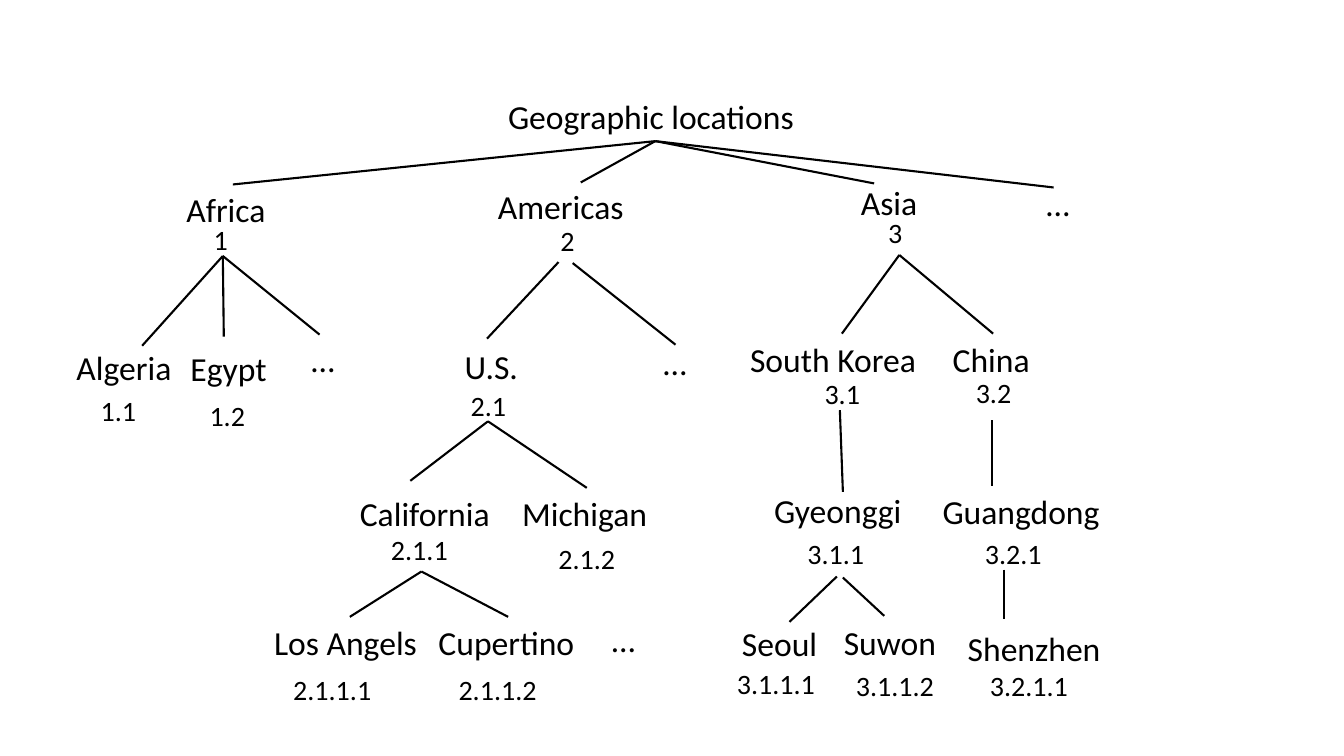
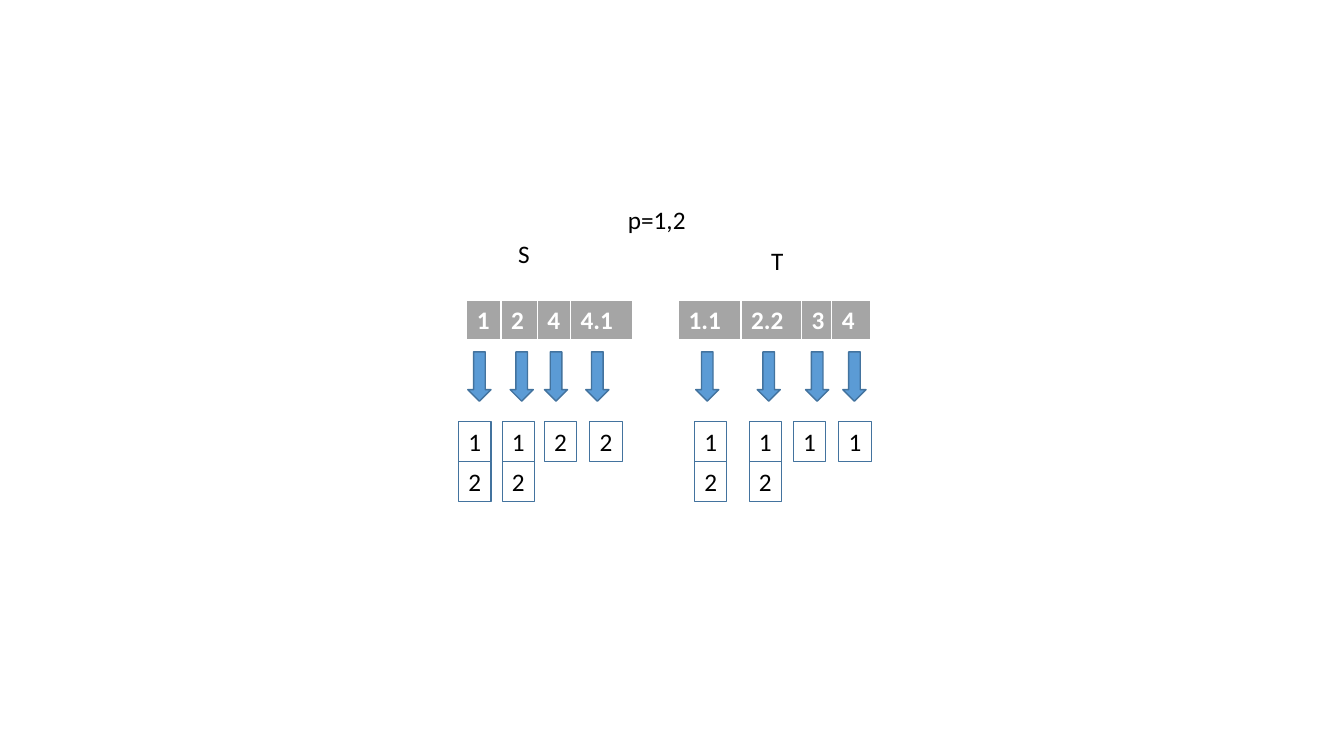
from lxml import etree
from pptx import Presentation
from pptx.dml.color import RGBColor
from pptx.enum import shapes, text
from pptx.oxml import ns
from pptx.util import Inches, Pt

FONT = "Calibri"
BLACK = RGBColor(0x00, 0x00, 0x00)
WHITE = RGBColor(0xFF, 0xFF, 0xFF)
GRAY = RGBColor(0xA5, 0xA5, 0xA5)
BLUE = RGBColor(0x5B, 0x9B, 0xD5)
DARK_BLUE = RGBColor(0x43, 0x73, 0x9E)

NAME_SIZE, CODE_SIZE, ARRAY_SIZE = 24, 20, 18
LABEL_HEIGHTS = {NAME_SIZE: 0.5, CODE_SIZE: 0.44, ARRAY_SIZE: 0.4}

# Text, left, top, width; places in the tree are relative to its box.
PLACES = [
    ("Geographic locations", 4.44, 0.4, 3.12),
    ("Africa", 1.25, 1.33, 1.16),
    ("Americas", 4.34, 1.3, 1.54),
    ("Asia", 7.94, 1.26, 0.87),
    ("…", 9.78, 1.27, 0.46),
    ("Algeria", 0.16, 2.89, 2.01),
    ("Egypt", 1.29, 2.9, 0.98),
    ("…", 2.49, 2.81, 0.54),
    ("U.S.", 4.01, 2.88, 0.77),
    ("…", 5.98, 2.84, 0.58),
    ("South Korea", 6.84, 2.81, 2.01),
    ("China", 8.85, 2.81, 1),
    ("California", 2.97, 4.34, 1.58),
    ("Michigan", 4.58, 4.34, 1.49),
    ("Gyeonggi", 7.08, 4.31, 2.01),
    ("Guangdong", 8.75, 4.32, 2.01),
    ("Los Angels", 2.12, 5.62, 1.71),
    ("Cupertino", 3.75, 5.62, 1.58),
    ("…", 5.47, 5.59, 0.52),
    ("Seoul", 6.76, 5.63, 0.98),
    ("Suwon", 7.77, 5.62, 1.22),
    ("Shenzhen", 9, 5.68, 1.57),
]
CODES = [
    ("1", 1.52, 1.66, 0.8),
    ("2", 4.96, 1.67, 0.44),
    ("3", 8.21, 1.59, 0.42),
    ("1.1", 0.4, 3.35, 0.6),
    ("1.2", 1.48, 3.4, 0.6),
    ("2.1", 4.07, 3.31, 0.8),
    ("3.1", 7.58, 3.19, 0.73),
    ("3.2", 9.08, 3.18, 0.76),
    ("2.1.1", 3.28, 4.73, 0.8),
    ("2.1.2", 4.94, 4.82, 0.8),
    ("3.1.1", 7.41, 4.77, 0.8),
    ("3.2.1", 9.17, 4.77, 0.8),
    ("2.1.1.1", 2.31, 6.12, 1),
    ("2.1.1.2", 3.95, 6.12, 1),
    ("3.1.1.1", 6.71, 6.06, 1),
    ("3.1.1.2", 7.89, 6.08, 1),
    ("3.2.1.1", 9.22, 6.08, 1),
]
# Start of each branch and the ends it fans out to.
BRANCHES = [
    ((6, 0.9), [(1.81, 1.33), (5.26, 1.31), (8.17, 1.32), (9.95, 1.36)]),
    ((1.71, 2.04), [(0.91, 2.93), (1.72, 2.84), (2.67, 2.82)]),
    ((5.04, 2.1), [(4.33, 2.86)]),
    ((5.18, 2.11), [(6.2, 2.92)]),
    ((8.42, 2.03), [(7.85, 2.81), (9.35, 2.81)]),
    ((4.34, 3.68), [(3.57, 4.27), (5.32, 4.34)]),
    ((7.83, 3.57), [(7.86, 4.38)]),
    ((9.34, 3.67), [(9.34, 4.32)]),
    ((3.68, 5.17), [(2.97, 5.62), (4.54, 5.62)]),
    ((7.8, 5.22), [(7.33, 5.67)]),
    ((7.86, 5.23), [(8.27, 5.61)]),
    ((9.46, 5.15), [(9.46, 5.64)]),
]

# Per column: key, column width, arrow left, stack left, stacked values;
# lefts are relative to the table.
S_COLUMNS = [
    ("1", 0.34, 0.01, -0.08, "12"),
    ("2", 0.36, 0.43, 0.35, "12"),
    ("4", 0.33, 0.77, 0.77, "2"),
    ("4.1", 0.61, 1.18, 1.22, "2"),
]
T_COLUMNS = [
    ("1.1", 0.62, 0.17, 0.16, "12"),
    ("2.2", 0.6, 0.78, 0.7, "12"),
    ("3", 0.3, 1.26, 1.14, "1"),
    ("4", 0.39, 1.63, 1.59, "1"),
]
ROW_H = 0.4
ARROW_TOP, ARROW_W, ARROW_H = 0.51, 0.23, 0.49
STACK_TOP, BOX_W, BOX_H = 1.2, 0.32, 0.4


def style(p, size, color=BLACK, bold=False):
    font = p.font
    font.name, font.size, font.bold = FONT, Pt(size), bold
    font.color.rgb = color


def add_label(s, label, left, top, width, size):
    tb = s.shapes.add_textbox(Inches(left), Inches(top), Inches(width),
                              Inches(LABEL_HEIGHTS[size]))
    tf = tb.text_frame
    tf.word_wrap = True
    tf.text = label
    style(tf.paragraphs[0], size)


def add_line(s, x1, y1, x2, y2):
    line = s.shapes.add_connector(shapes.MSO_CONNECTOR.STRAIGHT, Inches(x1),
                                  Inches(y1), Inches(x2), Inches(y2))
    line.line.color.rgb = BLACK
    line.line.width = Pt(1.5)
    etree.SubElement(line._element.spPr, ns.qn("a:effectLst"))


def add_outlined(s, kind, left, top, width, height, line_width):
    sp = s.shapes.add_shape(kind, Inches(left), Inches(top),
                            Inches(width), Inches(height))
    sp.shadow.inherit = False
    sp.line.color.rgb = DARK_BLUE
    sp.line.width = Pt(line_width)
    return sp


def add_arrow(s, left, top):
    sp = add_outlined(s, shapes.MSO_SHAPE.DOWN_ARROW, left, top,
                      ARROW_W, ARROW_H, 1)
    sp.fill.solid()
    sp.fill.fore_color.rgb = BLUE


def add_value_box(s, value, left, top):
    sp = add_outlined(s, shapes.MSO_SHAPE.RECTANGLE, left, top,
                      BOX_W, BOX_H, 0.75)
    sp.fill.background()
    tf = sp.text_frame
    tf.word_wrap = False
    tf.text = value
    p = tf.paragraphs[0]
    p.alignment = text.PP_ALIGN.CENTER
    style(p, ARRAY_SIZE)


def set_borders(cell):
    """White cell borders, thicker along the bottom."""
    tc_pr = cell._tc.get_or_add_tcPr()
    for side, width in (("L", 1), ("R", 1), ("T", 1), ("B", 3)):
        ln = etree.SubElement(tc_pr, ns.qn(f"a:ln{side}"), w=str(Pt(width)))
        fill = etree.SubElement(ln, ns.qn("a:solidFill"))
        etree.SubElement(fill, ns.qn("a:srgbClr"), val=str(WHITE))


def add_key_table(s, columns, left, top):
    width = sum(column[1] for column in columns)
    table = s.shapes.add_table(1, len(columns), Inches(left), Inches(top),
                               Inches(width), Inches(ROW_H)).table
    table.first_row = table.horz_banding = False
    for i, (key, col_width, *_) in enumerate(columns):
        table.columns[i].width = Inches(col_width)
        cell = table.cell(0, i)
        cell.text = key
        style(cell.text_frame.paragraphs[0], ARRAY_SIZE, WHITE, True)
        set_borders(cell)
        cell.fill.solid()
        cell.fill.fore_color.rgb = GRAY


def add_array(s, columns, left, top):
    """Key table with an arrow from each key to its stack of values."""
    add_key_table(s, columns, left, top)
    for _, _, arrow_left, stack_left, values in columns:
        add_arrow(s, left + arrow_left, top + ARROW_TOP)
        for i, value in enumerate(values):
            add_value_box(s, value, left + stack_left,
                          top + STACK_TOP + i * BOX_H)


def add_tree(s, left, top):
    for (x1, y1), ends in BRANCHES:
        for x2, y2 in ends:
            add_line(s, left + x1, top + y1, left + x2, top + y2)
    for labels, size in ((PLACES, NAME_SIZE), (CODES, CODE_SIZE)):
        for label, x, y, width in labels:
            add_label(s, label, left + x, top + y, width, size)


def add_blank_slide(prs):
    return prs.slides.add_slide(prs.slide_layouts[6])


def build_location_slide(prs):
    add_tree(add_blank_slide(prs), 0.5, 0.5)


def build_array_slide(prs):
    s = add_blank_slide(prs)
    add_label(s, "p=1,2", 6.13, 1.98, 0.88, ARRAY_SIZE)
    add_label(s, "S", 5.04, 2.32, 0.67, ARRAY_SIZE)
    add_label(s, "T", 7.55, 2.38, 0.67, ARRAY_SIZE)
    add_array(s, S_COLUMNS, 4.63, 2.98)
    add_array(s, T_COLUMNS, 6.73, 2.98)


def main():
    prs = Presentation()
    prs.slide_width, prs.slide_height = Inches(13.33), Inches(7.5)
    build_location_slide(prs)
    build_array_slide(prs)
    prs.save("out.pptx")


if __name__ == "__main__":
    main()
